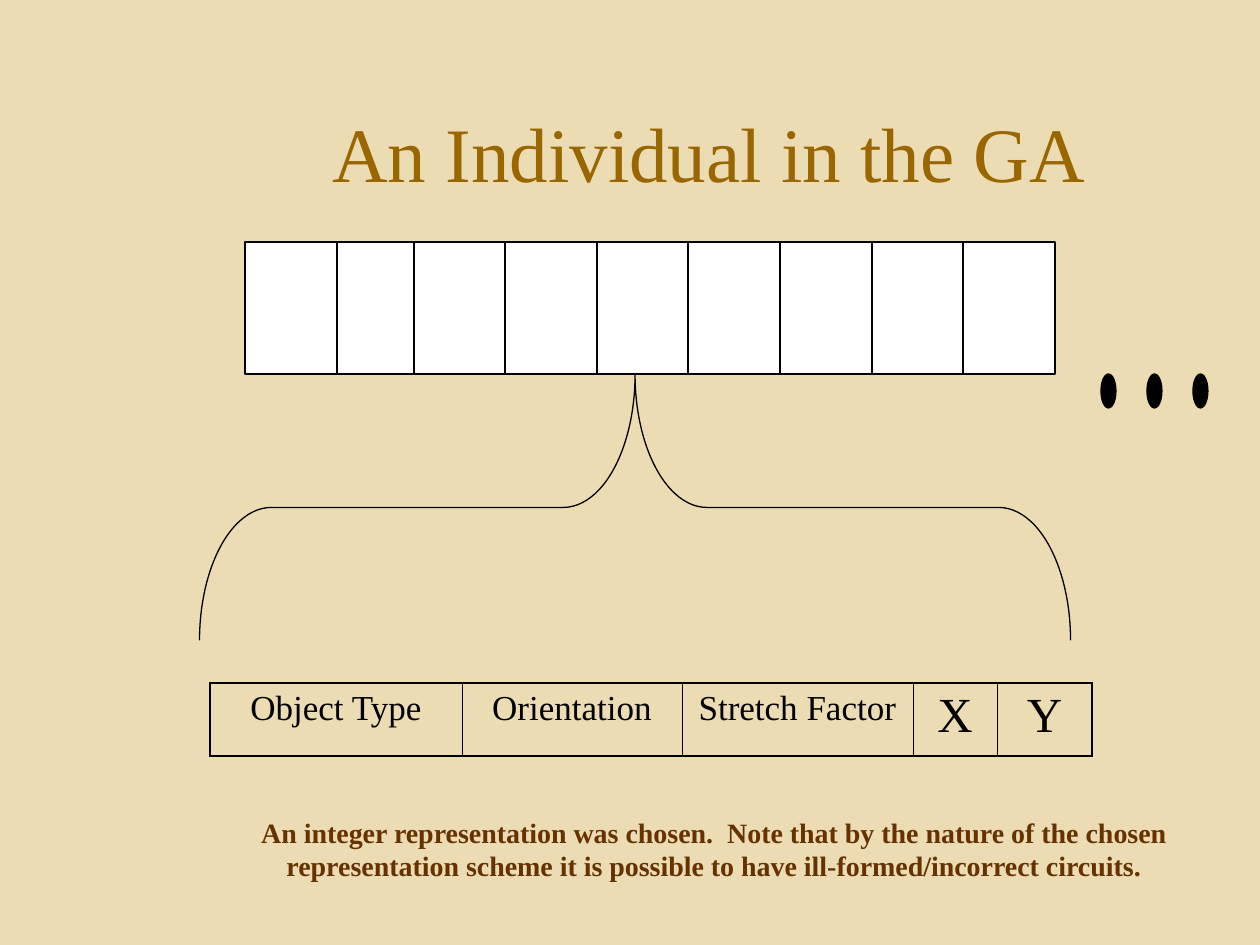
from lxml.etree import SubElement
from pptx import Presentation
from pptx.dml.color import RGBColor
from pptx.enum.shapes import MSO_SHAPE
from pptx.enum.text import MSO_ANCHOR, PP_ALIGN
from pptx.oxml.ns import qn
from pptx.util import Emu, Pt

PX = 914400 / 126
FONT = "Times New Roman"
SAND = RGBColor(0xEC, 0xDC, 0xB4)
OCHRE = RGBColor(0x99, 0x66, 0x00)
BROWN = RGBColor(0x66, 0x33, 0x00)
BLACK = RGBColor(0, 0, 0)
WHITE = RGBColor(255, 255, 255)


def add_outlined(kind, box, fill=None):
    """Add a preset shape with a thin black outline; box is in px."""
    shape = slide.shapes.add_shape(kind, *[Emu(round(v * PX)) for v in box])
    shape.shadow.inherit = False
    shape.line.color.rgb = BLACK
    shape.line.width = Pt(0.75)
    if fill is None:
        shape.fill.background()
    else:
        shape.fill.solid()
        shape.fill.fore_color.rgb = fill
    return shape


def write_centred(frame, text, size, color, bold=False):
    paragraph = frame.paragraphs[0]
    paragraph.alignment = PP_ALIGN.CENTER
    run = paragraph.add_run()
    run.text = text
    run.font.name = FONT
    run.font.size = Pt(size)
    run.font.bold = bold
    run.font.color.rgb = color


presentation = Presentation()
presentation.slide_width = Emu(round(1260 * PX))
presentation.slide_height = Emu(round(945 * PX))
slide = presentation.slides.add_slide(presentation.slide_layouts[6])
slide.background.fill.solid()
slide.background.fill.fore_color.rgb = SAND

# Brace opening from one gene to its fields
brace = add_outlined(MSO_SHAPE.LEFT_BRACE, (502, 72, 266, 871))
brace.rotation = 90
brace.adjustments[0] = 0.27
brace.adjustments[1] = 0.5

# Row of genes; the first one overlaps its neighbour, so it comes last
gene_lefts = [322 + round(index * 733 / 8) for index in range(8)] + [245]
for left in gene_lefts:
    add_outlined(MSO_SHAPE.RECTANGLE, (left, 242, 92, 132), WHITE)

for index in range(3):
    add_outlined(MSO_SHAPE.OVAL, (1101 + 46 * index, 374, 15, 34), BLACK)

# Title and note
for text, box, size, color, bold, anchor in (
    ("An Individual in the GA", (189, 73, 1040, 158), 44, OCHRE, False,
     MSO_ANCHOR.MIDDLE),
    ("An integer representation was chosen.  Note that by the nature of the "
     "chosen representation scheme it is possible to have "
     "ill-formed/incorrect circuits.", (231, 809, 966, 81), 16, BROWN, True,
     MSO_ANCHOR.TOP),
):
    text_box = slide.shapes.add_textbox(*[Emu(round(v * PX)) for v in box])
    text_box.text_frame.word_wrap = True
    text_box.text_frame.vertical_anchor = anchor
    write_centred(text_box.text_frame, text, size, color, bold)

# Fields of one gene: text, column width, text size
fields = (
    ("Object Type", 252, 20),
    ("Orientation", 220, 20),
    ("Stretch Factor", 231, 20),
    ("X", 84, 28),
    ("Y", 95, 28),
)
total_width = sum(width for _, width, _ in fields)
table = slide.shapes.add_table(
    1, len(fields),
    *[Emu(round(v * PX)) for v in (210, 683, total_width, 73)]).table
table.first_row = False
table.horz_banding = False
for column, (text, width, size) in enumerate(fields):
    table.columns[column].width = Emu(round(width * PX))
    cell = table.cell(0, column)
    write_centred(cell.text_frame, text, size, BLACK)
    properties = cell._tc.get_or_add_tcPr()
    outer_sides = {"lnT", "lnB"}
    if column == 0:
        outer_sides.add("lnL")
    if column == len(fields) - 1:
        outer_sides.add("lnR")
    for side in ("lnL", "lnR", "lnT", "lnB"):
        points = 1.08 if side in outer_sides else 0.45
        border = SubElement(properties, qn("a:" + side), w=str(Pt(points)))
        border_fill = SubElement(border, qn("a:solidFill"))
        SubElement(border_fill, qn("a:srgbClr"), val=str(BLACK))
    cell.fill.background()

presentation.save("out.pptx")
